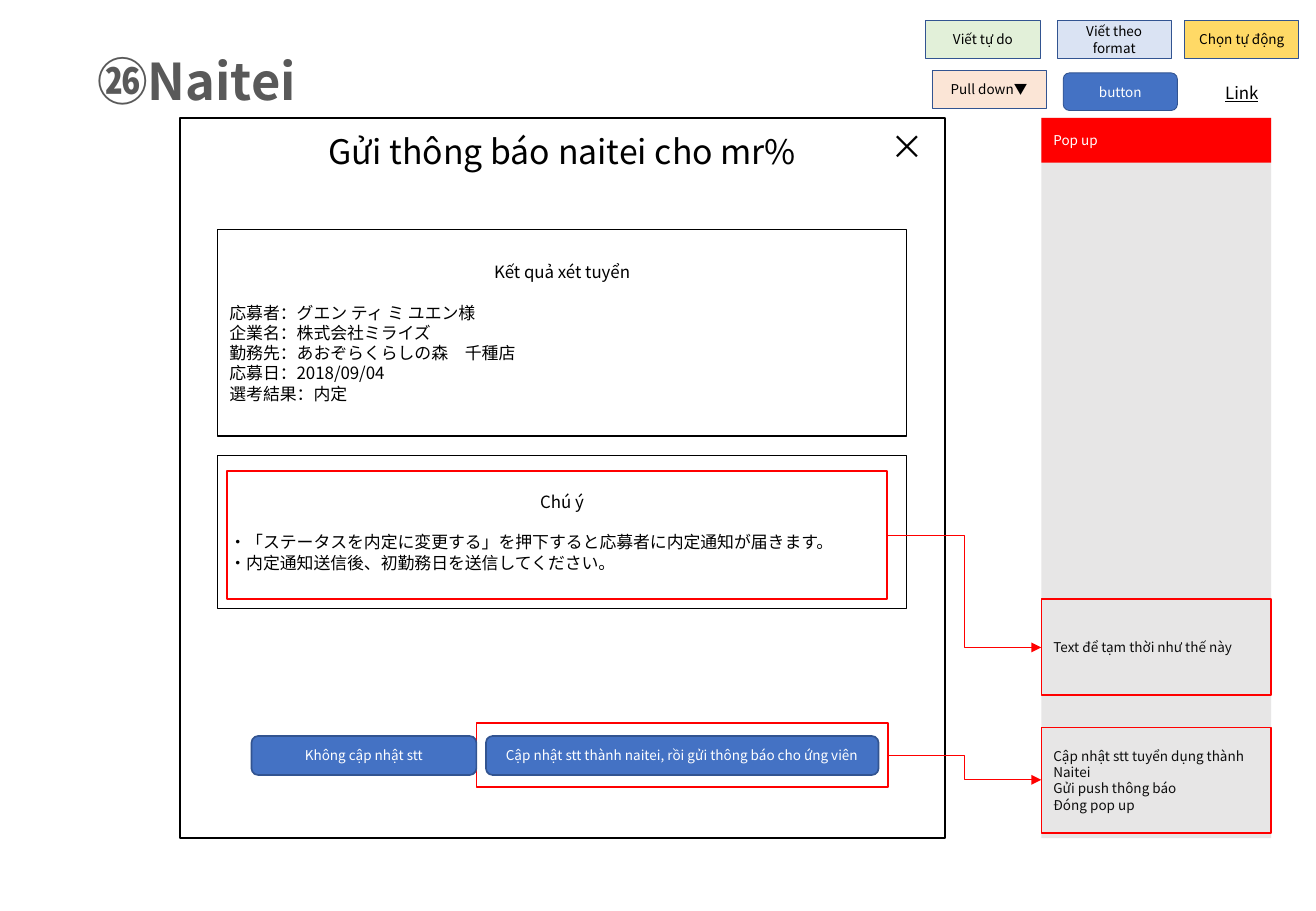
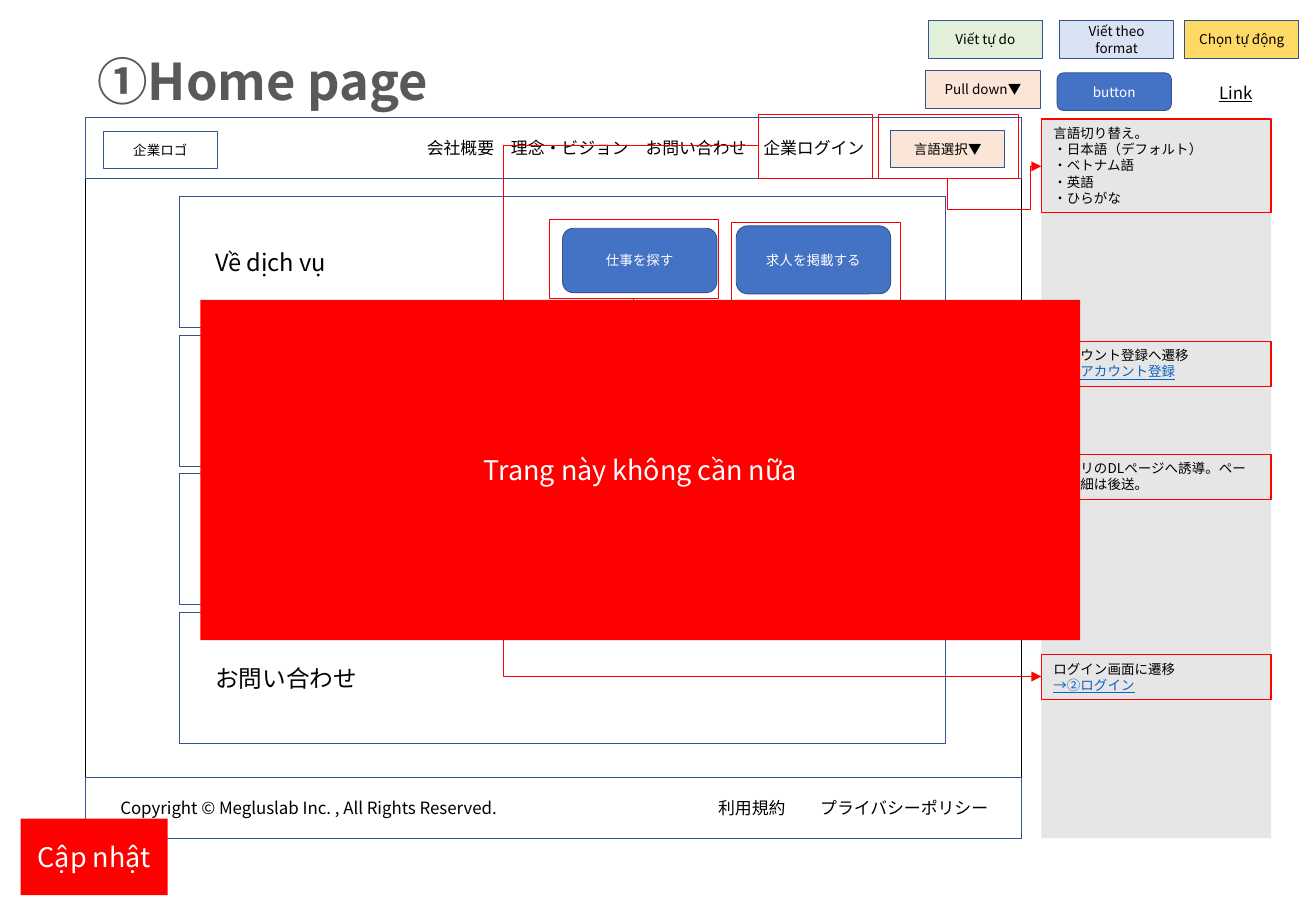
import math
from dataclasses import dataclass

from lxml import etree
from pptx import Presentation
from pptx.dml.color import RGBColor
from pptx.enum import shapes, text
from pptx.oxml import ns
from pptx.util import Inches, Pt

RECTANGLE = shapes.MSO_SHAPE.RECTANGLE
ROUNDED = shapes.MSO_SHAPE.ROUNDED_RECTANGLE
LEFT, CENTER, RIGHT = text.PP_ALIGN.LEFT, text.PP_ALIGN.CENTER, text.PP_ALIGN.RIGHT
TOP, MIDDLE = text.MSO_ANCHOR.TOP, text.MSO_ANCHOR.MIDDLE


@dataclass(frozen=True)
class Theme:
    font: str = "Noto Sans CJK JP"
    leading: float = 1.2
    title: int = 30
    heading: int = 20
    banner: int = 16
    section: int = 14
    body: int = 10
    small: int = 8
    black: str = "000000"
    ink: str = "0D0D0D"
    white: str = "FFFFFF"
    title_gray: str = "595959"
    panel: str = "E7E6E6"
    red: str = "FF0000"
    blue: str = "4472C4"
    border: str = "325491"
    link: str = "0563C1"
    green: str = "E2F0D9"
    peach: str = "FBE5D6"
    pale_blue: str = "DAE3F3"
    yellow: str = "FFD966"


THEME = Theme()
PANEL_LEFT, PANEL_WIDTH = 8.57, 1.89
FRAME_TOP, FRAME_HEIGHT = 0.97, 5.93
CHIP_WIDTH, CHIP_HEIGHT = 0.94, 0.31


class Wireframe:
    """Draws annotated screen mock-ups on the current slide."""

    def __init__(self, presentation):
        self.presentation = presentation
        self.slide = None

    def new_slide(self, title):
        layout = self.presentation.slide_layouts[5]
        self.slide = self.presentation.slides.add_slide(layout)
        shape = self.slide.shapes.title
        shape.left, shape.top = Inches(0.7), Inches(0.36)
        shape.width, shape.height = Inches(9.39), Inches(0.61)
        self.set_text(shape, title, THEME.title, THEME.title_gray, LEFT, bold=True)
        self.box(PANEL_LEFT, FRAME_TOP, PANEL_WIDTH, FRAME_HEIGHT, fill=THEME.panel)

    def set_text(self, shape, content, size, color, align, anchor=MIDDLE, bold=False):
        frame = shape.text_frame
        frame.word_wrap = True
        frame.auto_size = text.MSO_AUTO_SIZE.NONE
        frame.vertical_anchor = anchor
        frame.text = content
        for paragraph in frame.paragraphs:
            paragraph.alignment = align
            paragraph.line_spacing = Pt(size * THEME.leading)
            for run in paragraph.runs:
                run.font.size = Pt(size)
                run.font.bold = bold
                run.font.color.rgb = RGBColor.from_string(color)
                run.font.name = THEME.font
                properties = run._r.get_or_add_rPr()
                etree.SubElement(properties, ns.qn("a:ea"), typeface=THEME.font)

    def box(self, left, top, width, height, content="", fill=None, line=None,
            weight=0.5, size=THEME.small, color=THEME.black, align=CENTER,
            anchor=MIDDLE, kind=RECTANGLE):
        shape = self.slide.shapes.add_shape(
            kind, Inches(left), Inches(top), Inches(width), Inches(height))
        shape.shadow.inherit = False
        if fill:
            shape.fill.solid()
            shape.fill.fore_color.rgb = RGBColor.from_string(fill)
        else:
            shape.fill.background()
        if line:
            shape.line.color.rgb = RGBColor.from_string(line)
            shape.line.width = Pt(weight)
        else:
            shape.line.fill.background()
        if content:
            self.set_text(shape, content, size, color, align, anchor)
        return shape

    def label(self, left, top, width, height, content, size):
        shape = self.slide.shapes.add_textbox(
            Inches(left), Inches(top), Inches(width), Inches(height))
        self.set_text(shape, content, size, THEME.black, CENTER, TOP)
        return shape

    def button(self, left, top, width, height, content, weight=0.5):
        self.box(left, top, width, height, content, THEME.blue, THEME.border,
                 weight, color=THEME.white, kind=ROUNDED)

    def chip(self, left, top, content, fill=None):
        self.box(left, top, CHIP_WIDTH, CHIP_HEIGHT, content, fill, THEME.border)

    def banner(self, left, top, width, height, content):
        self.box(left, top, width, height, content, THEME.red,
                 size=THEME.banner, color=THEME.white)

    def highlight(self, left, top, width, height, weight=0.5):
        self.box(left, top, width, height, line=THEME.red, weight=weight)

    def note(self, top, height, content, weight=0.75, color=THEME.black, anchor=TOP):
        return self.box(PANEL_LEFT, top, PANEL_WIDTH, height, content,
                        line=THEME.red, weight=weight, color=color,
                        align=LEFT, anchor=anchor)

    def text_block(self, top, height, content):
        """Outlined block whose first paragraph is a centred heading."""
        shape = self.box(1.79, top, 5.67, height, content, line=THEME.black,
                         weight=1, size=THEME.body, align=LEFT)
        heading = shape.text_frame.paragraphs[0]
        heading.alignment = CENTER
        heading.space_after = Pt(THEME.body * THEME.leading)

    def arrow(self, begin, end, preset="bentConnector3", bends=(), rotation=0):
        """Red elbow arrow; bends are fractions of the unrotated frame."""
        center = [(a + b) / 2 for a, b in zip(begin, end)]
        cosine = math.cos(math.radians(rotation))
        sine = math.sin(math.radians(rotation))

        def unrotate(point):
            x, y = point[0] - center[0], point[1] - center[1]
            return (Inches(center[0] + x * cosine + y * sine),
                    Inches(center[1] - x * sine + y * cosine))

        connector = self.slide.shapes.add_connector(
            shapes.MSO_CONNECTOR.ELBOW, *unrotate(begin), *unrotate(end))
        connector.line.color.rgb = RGBColor.from_string(THEME.red)
        connector.line.width = Pt(0.5)
        properties = connector._element.spPr
        properties.find(ns.qn("a:xfrm")).set("rot", str(rotation * 60000))
        geometry = properties.find(ns.qn("a:prstGeom"))
        geometry.set("prst", preset)
        guides = geometry.find(ns.qn("a:avLst"))
        for number, bend in enumerate(bends, 1):
            etree.SubElement(guides, ns.qn("a:gd"), name=f"adj{number}",
                             fmla=f"val {round(bend * 100000)}")
        etree.SubElement(properties.find(ns.qn("a:ln")), ns.qn("a:tailEnd"),
                         type="triangle")
        etree.SubElement(properties, ns.qn("a:effectLst"))

    def legend(self, upper_left, lower_left):
        pitch = 1.08
        self.button(lower_left + pitch, 0.6, CHIP_WIDTH, CHIP_HEIGHT, "button")
        self.chip(upper_left, 0.17, "Viết tự do", THEME.green)
        self.chip(lower_left, 0.58, "Pull down▼", THEME.peach)
        self.chip(upper_left + pitch, 0.17, "Viết theo format", THEME.pale_blue)
        self.chip(9.75, 0.17, "Chọn tự động", THEME.yellow)
        link = self.label(lower_left + 2.08, 0.63, CHIP_WIDTH, 0.27, "Link", THEME.body)
        link.text_frame.paragraphs[0].runs[0].font.underline = True


def build_offer_popup(wireframe):
    wireframe.new_slide("㉖Naitei")
    wireframe.box(1.48, FRAME_TOP, 6.3, FRAME_HEIGHT, line=THEME.black, weight=1)
    wireframe.label(1.48, 1.03, 6.3, 0.44, "Gửi thông báo naitei cho mr%", THEME.heading)
    wireframe.label(7.15, 0.99, 0.63, 0.44, "×", THEME.heading)
    wireframe.box(PANEL_LEFT, FRAME_TOP, PANEL_WIDTH, 0.37, "Pop up", THEME.red,
                  color=THEME.white, align=LEFT)
    wireframe.text_block(1.89, 1.7, "\n".join([
        "Kết quả xét tuyển",
        "応募者：グエン ティ ミ ユエン様",
        "企業名：株式会社ミライズ",
        "勤務先：あおぞらくらしの森　千種店",
        "応募日：2018/09/04",
        "選考結果：内定"]))
    wireframe.text_block(3.75, 1.26, "\n".join([
        "Chú ý",
        "・「ステータスを内定に変更する」を押下すると応募者に内定通知が届きます。",
        "・内定通知送信後、初勤務日を送信してください。"]))
    wireframe.highlight(1.87, 3.88, 5.43, 1.05, 1)
    wireframe.highlight(3.92, 5.95, 3.39, 0.53, 1)
    wireframe.button(2.07, 6.06, 1.85, 0.32, "Không cập nhật stt", 1)
    wireframe.button(4, 6.06, 3.23, 0.32,
                     "Cập nhật stt thành naitei, rồi gửi thông báo cho ứng viên", 1)
    wireframe.note(4.93, 0.79, "Text để tạm thời như thế này", 1, THEME.ink, MIDDLE)
    wireframe.note(5.99, 0.87, "Cập nhật stt tuyển dụng thành Naitei\n"
                   "Gửi push thông báo\nĐóng pop up", 1, THEME.ink, MIDDLE)
    for start, finish in ((4.41, 5.33), (6.22, 6.42)):
        wireframe.arrow((7.31, start), (PANEL_LEFT, finish))
    wireframe.legend(7.62, 7.67)


def build_home_page(wireframe):
    wireframe.new_slide("①Home page")
    page_left, page_width, bar_height = 0.7, 7.71, 0.5
    wireframe.box(page_left, FRAME_TOP, page_width, FRAME_HEIGHT, line=THEME.black)
    header = wireframe.box(
        page_left, FRAME_TOP, page_width, bar_height,
        "会社概要　理念・ビジョン　お問い合わせ　企業ログイン",
        line=THEME.border, size=THEME.body, align=RIGHT)
    header.text_frame.margin_right = Inches(1.3)
    footer = wireframe.box(
        page_left, 6.4, page_width, bar_height,
        "Copyright © Megluslab Inc. , All Rights Reserved.\t利用規約\tプライバシーポリシー",
        line=THEME.border, size=THEME.body, align=LEFT)
    footer.text_frame.margin_left = Inches(0.29)
    properties = footer.text_frame.paragraphs[0]._p.get_or_add_pPr()
    tabs = etree.SubElement(properties, ns.qn("a:tabLst"))
    for position in (4.92, 5.76):
        etree.SubElement(tabs, ns.qn("a:tab"), pos=str(Inches(position)), algn="l")

    for row, heading in enumerate(("Về dịch vụ", "", "", "お問い合わせ")):
        section = wireframe.box(1.48, 1.62 + row * 1.14, 6.3, 1.08, heading,
                                line=THEME.border, size=THEME.section, align=LEFT)
        section.text_frame.margin_left = Inches(0.29)

    wireframe.button(4.63, 1.88, 1.27, 0.53, "仕事を探す")
    wireframe.button(6.06, 1.86, 1.27, 0.56, "求人を掲載する")
    wireframe.chip(7.33, 1.07, "言語選択▼", THEME.peach)
    wireframe.chip(0.85, 1.08, "企業ロゴ")
    for area in ((7.23, 0.94, 1.15, 0.53), (4.52, 1.81, 1.39, 0.65),
                 (6.02, 1.83, 1.39, 0.65), (6.24, 0.94, 0.94, 0.53)):
        wireframe.highlight(*area)

    wireframe.note(0.98, 0.77, "言語切り替え。\n・日本語（デフォルト）\n・ベトナム語\n・英語\n・ひらがな")
    wireframe.note(3.74, 0.37, "アプリのDLページへ誘導。ページ詳細は後送。")
    for top, content in ((2.81, "アカウント登録へ遷移\n→④アカウント登録"),
                         (5.39, "ログイン画面に遷移\n→②ログイン")):
        note = wireframe.note(top, 0.37, content)
        font = note.text_frame.paragraphs[1].runs[0].font
        font.color.rgb = RGBColor.from_string(THEME.link)
        font.underline = True

    for begin, finish in (((5.21, 2.46), 3.93), ((6.71, 2.47), 2.99)):
        wireframe.arrow(begin, (PANEL_LEFT, finish), "bentConnector2", rotation=270)
    wireframe.arrow((6.24, 1.2), (PANEL_LEFT, 5.57), bends=(-0.9,))
    wireframe.arrow((7.8, 1.47), (PANEL_LEFT, 1.37), "bentConnector4",
                    (-2.52, 0.88), 90)
    wireframe.banner(1.65, 2.47, 7.24, 2.8, "Trang này không cần nữa")
    wireframe.banner(0.17, 6.74, 1.21, 0.63, "Cập nhật")
    wireframe.legend(7.64, 7.62)


def main():
    presentation = Presentation()
    presentation.slide_width, presentation.slide_height = Inches(10.83), Inches(7.5)
    wireframe = Wireframe(presentation)
    build_offer_popup(wireframe)
    build_home_page(wireframe)
    presentation.save("out.pptx")


if __name__ == "__main__":
    main()
